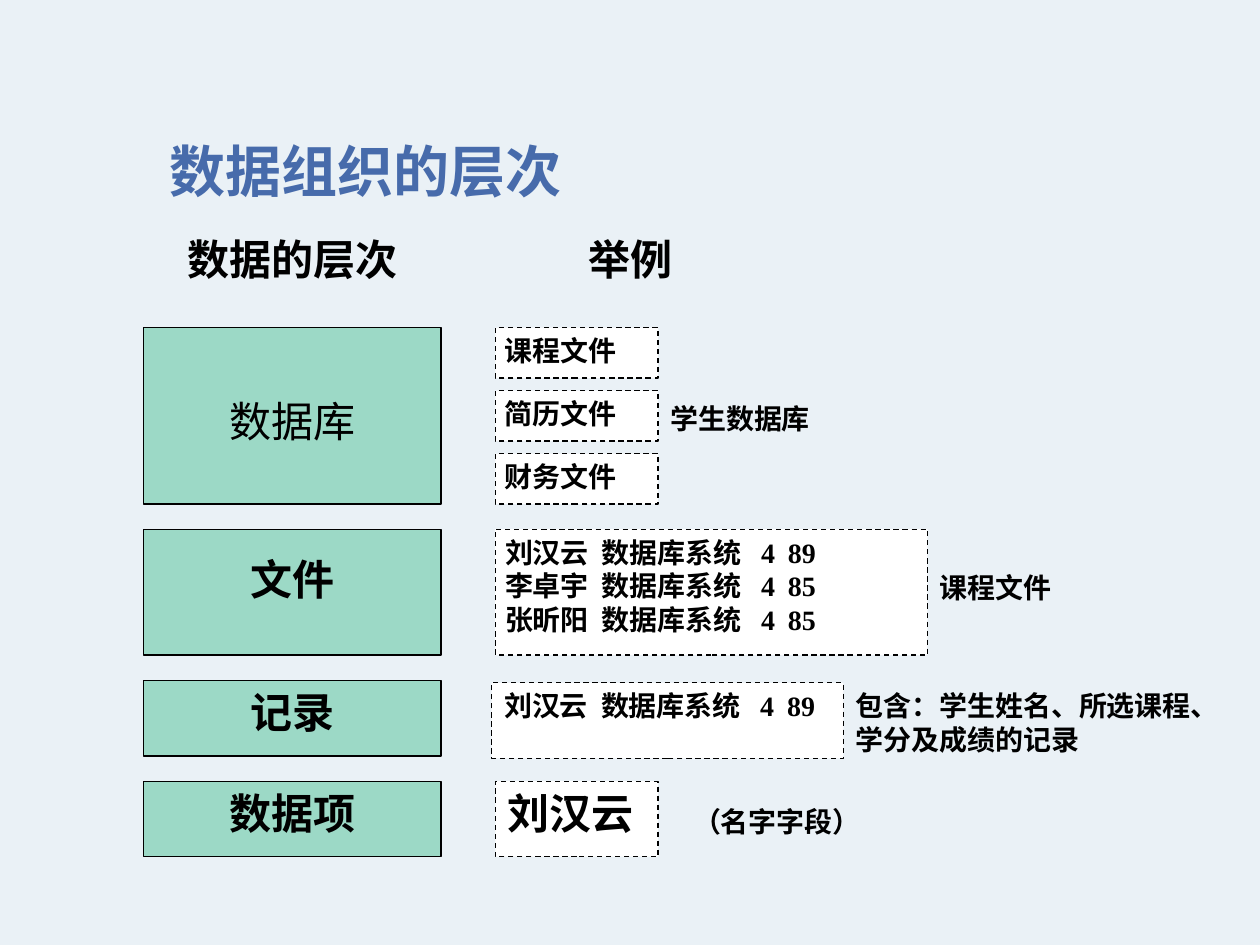
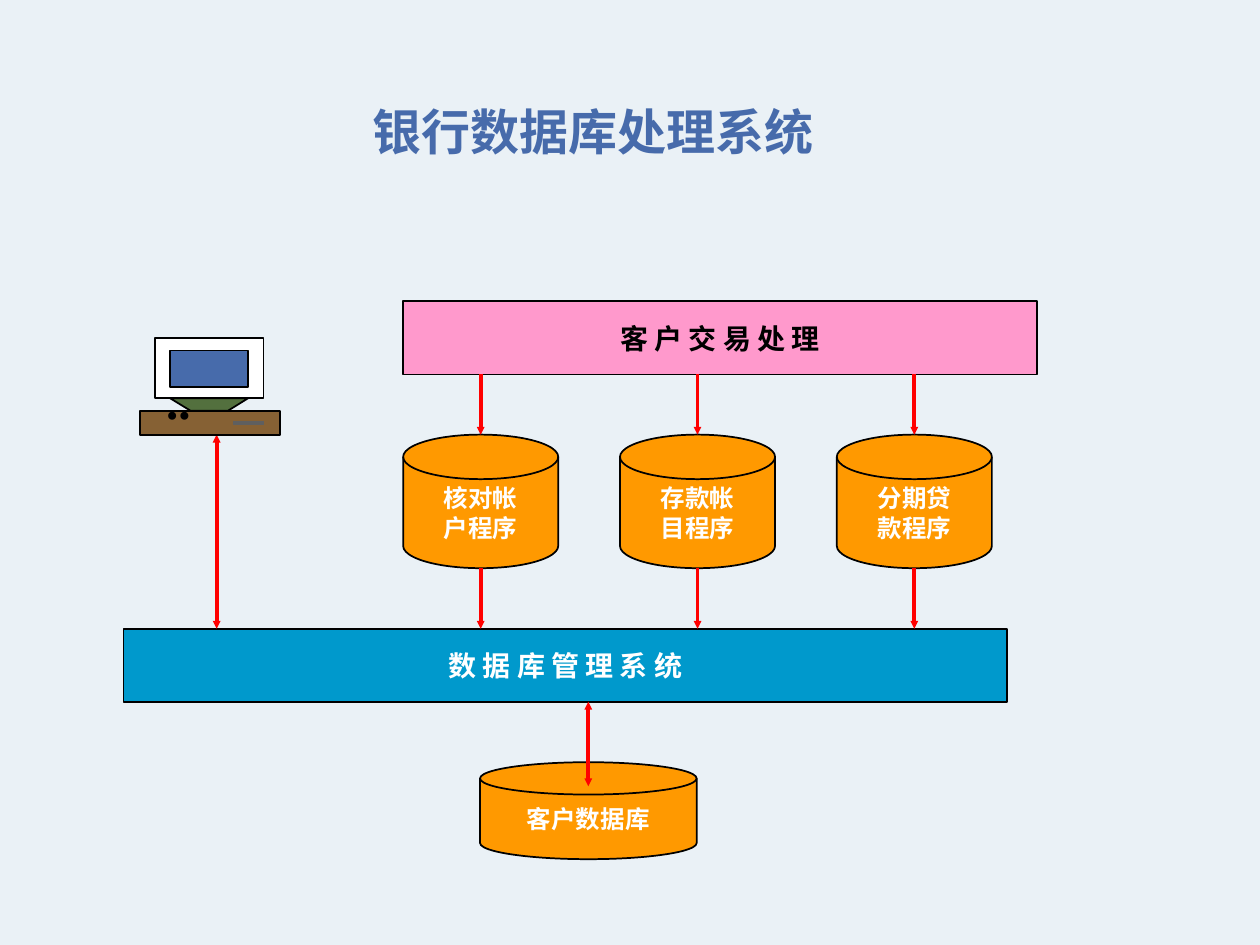
import pptx
import pptx.util
import pptx.dml.color
import pptx.enum.dml
import pptx.enum.shapes
import pptx.enum.text
import pptx.oxml
import pptx.oxml.ns

Pt = pptx.util.Pt
SHAPE = pptx.enum.shapes.MSO_SHAPE
ALIGN = pptx.enum.text.PP_ALIGN
ANCHOR = pptx.enum.text.MSO_ANCHOR
DASH = pptx.enum.dml.MSO_LINE.DASH

BACKGROUND, TITLE_BLUE = "EAF1F6", "476BAB"
BLACK, WHITE, RED, GREY = "000000", "FFFFFF", "FF0000", "5F5F5F"
MINT, PINK, CYAN, ORANGE = "9CD9C6", "FF99CC", "0099CC", "FF9900"
BROWN, GREEN = "866134", "53703E"
FONT = "Times New Roman"
RECORD_TABS = (55.4, 146.3, 161.7)


def color(value):
    return pptx.dml.color.RGBColor.from_string(value)


def apply(target, values):
    for name, value in values.items():
        setattr(target, name, value)


def write(shape, text, size, ink=BLACK, bold=True, align=ALIGN.LEFT,
          anchor=ANCHOR.TOP, wrap=True, tabs=(), **margins):
    frame = shape.text_frame
    apply(frame, {"word_wrap": wrap, "vertical_anchor": anchor})
    apply(frame, {name: Pt(value) for name, value in margins.items()})
    for index, line in enumerate(text.split("\n")):
        para = frame.add_paragraph() if index else frame.paragraphs[0]
        para.alignment = align
        if tabs:
            stops = "".join(f'<a:tab pos="{Pt(stop)}" algn="l"/>' for stop in tabs)
            space = pptx.oxml.ns.nsdecls("a")
            para._p.get_or_add_pPr().append(
                pptx.oxml.parse_xml(f"<a:tabLst {space}>{stops}</a:tabLst>"))
        span = para.add_run()
        span.text = line
        apply(span.font, {"name": FONT, "size": Pt(size), "bold": bold})
        span.font.color.rgb = color(ink)


def add_label(page, box, text, size=16, **style):
    label = page.shapes.add_textbox(*map(Pt, box))
    write(label, text, size, **style)


def paint(shape, fill, weight, dash=None):
    shape.shadow.inherit = False
    shape.fill.solid()
    shape.fill.fore_color.rgb = color(fill)
    shape.line.color.rgb = color(BLACK)
    apply(shape.line, {"width": Pt(weight), "dash_style": dash})


def add_block(page, kind, box, fill, weight=1, dash=None):
    shape = page.shapes.add_shape(kind, *map(Pt, box))
    paint(shape, fill, weight, dash)
    return shape


def add_line(page, start, end, ink=RED, ends=("tailEnd",)):
    line = page.shapes.add_connector(
        pptx.enum.shapes.MSO_CONNECTOR.STRAIGHT, *map(Pt, start + end))
    line.line.color.rgb = color(ink)
    line.line.width = Pt(2.25)
    space = pptx.oxml.ns.nsdecls("a")
    outline = line.line._get_or_add_ln()
    for name in ends:
        outline.append(pptx.oxml.parse_xml(
            f'<a:{name} {space} type="triangle" w="sm" len="sm"/>'))
    line._element.spPr.append(pptx.oxml.parse_xml(f"<a:effectLst {space}/>"))


def add_page(deck, title, box, size):
    page = deck.slides.add_slide(deck.slide_layouts[6])
    page.background.fill.solid()
    page.background.fill.fore_color.rgb = color(BACKGROUND)
    add_label(page, box, title, size, ink=TITLE_BLUE, align=ALIGN.CENTER,
              anchor=ANCHOR.MIDDLE)
    return page


def draw_levels(page, box, levels, gap):
    left, top, width, _ = box
    tops = []
    for name, height, margin, bold in levels:
        level = add_block(page, SHAPE.RECTANGLE, (left, top, width, height), MINT, 0.75)
        write(level, name, 24, bold=bold, align=ALIGN.CENTER, margin_top=margin)
        tops.append(top)
        top += height + gap
    return tops


def draw_example(page, box, text, note, note_box, size=16, **style):
    left, top, _, _ = box
    example = add_block(page, SHAPE.RECTANGLE, box, WHITE, 0.75, DASH)
    write(example, text, size, **style)
    if note:
        across, down, width, height = note_box
        add_label(page, (left + across, top + down, width, height), note)


def draw_organisation(deck):
    page = add_page(deck, "数据组织的层次", (0, 74, 418, 46), 32)
    for heading, box in (("数据的层次", (82, 129.6, 170, 40)),
                         ("举例", (283, 129.6, 155, 34))):
        add_label(page, box, heading, 24, align=ALIGN.CENTER)

    levels = (("数据库", 100.8, 39, False), ("文件", 72, 14, True),
              ("记录", 43.2, 3.6, True), ("数据项", 43.2, 3.6, True))
    database, file, record, item = draw_levels(page, (82, 187.2, 170, 302.4), levels, 14.4)

    left = 283
    files = (("课程文件", ""), ("简历文件", "学生数据库"), ("财务文件", ""))
    for index, (name, note) in enumerate(files):
        draw_example(page, (left, database + index * 36, 93, 28.8), name,
                     note, (93, 3, 170, 28), margin_left=5.4)
    rows = ("刘汉云\t数据库系统\t4\t89", "李卓宇\t数据库系统\t4\t85",
            "张昕阳\t数据库系统\t4\t85")
    draw_example(page, (left, file, 247, 72), "\n".join(rows), "课程文件",
                 (247, 20, 122, 28), tabs=RECORD_TABS, margin_left=5.6)
    draw_example(page, (left - 2, record + 1.4, 201, 43.2), rows[0],
                 "包含：学生姓名、所选课程、\n学分及成绩的记录", (201, 0, 227, 47),
                 tabs=RECORD_TABS)
    draw_example(page, (left, item, 93, 43.2), "刘汉云", "（名字字段）",
                 (106, 10, 114, 22), size=24)


def draw_computer(page, box):
    left, top, width, height = box
    monitor = (left + 8.6, top, 62, 34.6)
    screen = (left + 17.2, top + 7.2, 44.6, 21)
    base = (left, top + height - 13.7, width, 13.7)
    for part, fill in ((monitor, WHITE), (screen, TITLE_BLUE), (base, BROWN)):
        add_block(page, SHAPE.RECTANGLE, part, fill)
    neck_top = top + 34.6
    outline = page.shapes.build_freeform(Pt(left + 17.2), Pt(neck_top))
    outline.add_line_segments(
        [(Pt(left + across), Pt(depth)) for across, depth in
         ((28.8, base[1]), (50.4, base[1]), (61.8, neck_top))], close=True)
    paint(outline.convert_to_shape(), GREEN, 1)
    slot = top + height - 6.7
    add_line(page, (left + 53.3, slot), (left + 70.6, slot), GREY, ())
    add_label(page, (left, top + 15.1, 44, 41), "..", 28, align=ALIGN.CENTER)


def draw_node(page, kind, box, fill, text, size, ink=WHITE):
    node = add_block(page, kind, box, fill)
    write(node, text, size, ink=ink, align=ALIGN.CENTER, anchor=ANCHOR.MIDDLE, wrap=False)


def draw_programs(page, box, programs, pitch, reach):
    left, top, width, height = box
    bottom = top + height
    for index, name in enumerate(programs):
        start = left + index * pitch
        middle = start + width / 2
        draw_node(page, SHAPE.FLOWCHART_MAGNETIC_DISK, (start, top, width, height),
                  ORANGE, name, 14)
        add_line(page, (middle, top - reach), (middle, top))
        add_line(page, (middle, bottom), (middle, bottom + reach))


def draw_bank(deck):
    page = add_page(deck, "银行数据库处理系统", (117.4, 54.4, 443, 41), 28)
    both = ("headEnd", "tailEnd")
    draw_node(page, SHAPE.FLOWCHART_PROCESS, (230.4, 172.2, 362, 41.8), PINK,
              "客 户 交 易 处 理", 16, BLACK)
    draw_node(page, SHAPE.FLOWCHART_PROCESS, (70.6, 359.3, 505, 41.8), CYAN,
              "数 据 库 管 理 系 统", 16)
    draw_programs(page, (230.4, 248.4, 88.6, 76.3),
                  ("核对帐\n户程序", "存款帐\n目程序", "分期贷\n款程序"), 123.9, 34.6)
    draw_node(page, SHAPE.FLOWCHART_MAGNETIC_DISK, (274.3, 435.6, 123.8, 55.4),
              ORANGE, "客户数据库", 14)
    add_line(page, (336.2, 401), (336.2, 449.3), ends=both)
    add_line(page, (123.8, 248.4), (123.8, 359.3), ends=both)
    draw_computer(page, (80, 193, 80, 55.4))


def main():
    deck = pptx.Presentation()
    apply(deck, {"slide_width": Pt(720), "slide_height": Pt(540)})
    draw_organisation(deck)
    draw_bank(deck)
    deck.save("out.pptx")


if __name__ == "__main__":
    main()
